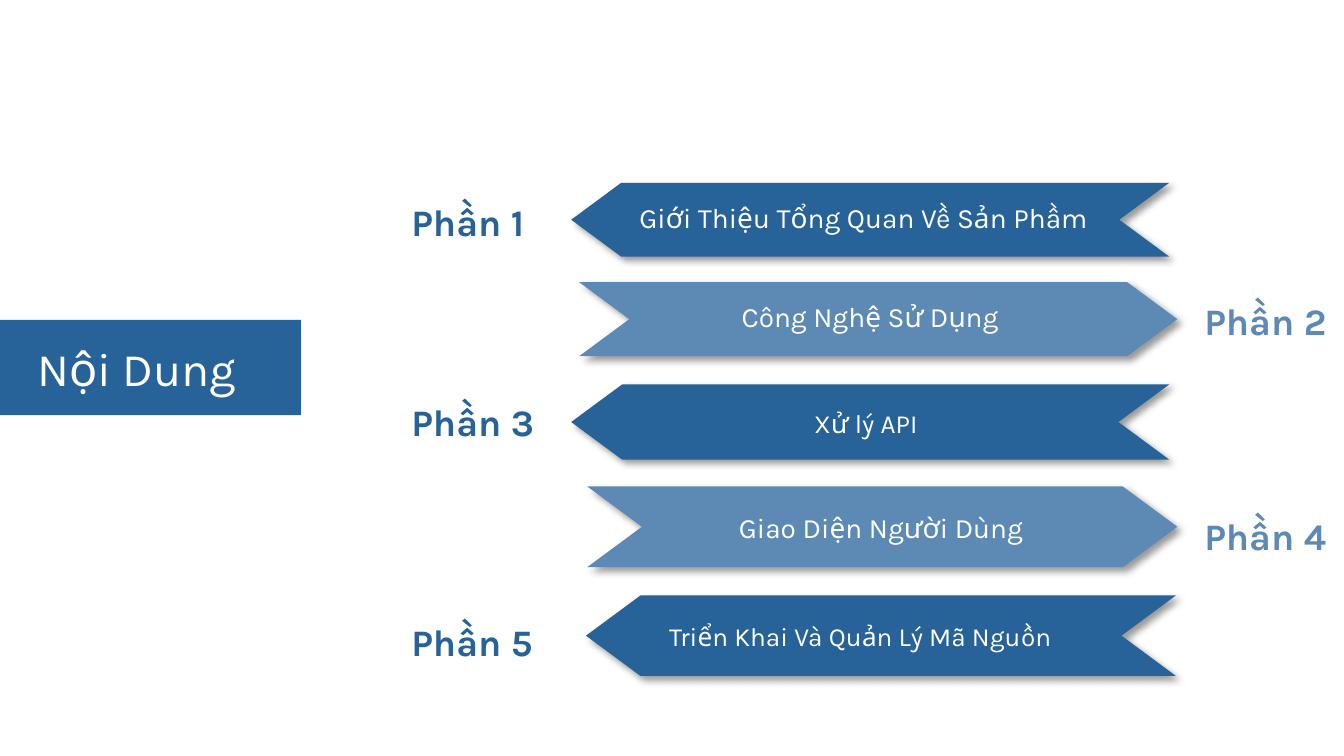
from dataclasses import dataclass

from lxml import etree
from pptx import Presentation, util as u
from pptx.dml import color
from pptx.enum import shapes, text
from pptx.oxml import ns

COLORS = {"dark": "276298", "light": "5D89B5", "white": "FFFFFF", "shadow": "000000"}
FONT = "Karla"
SLIDE_WIDTH = 10
SLIDE_HEIGHT = SLIDE_WIDTH * 9 / 16
LABEL_LEFT, LABEL_RIGHT = 2.99, 8.89
LABEL_WIDTH, LABEL_HEIGHT = 0.82, 0.31


@dataclass
class Box:
    left: float
    top: float
    width: float
    height: float

    def lengths(self):
        return [u.Inches(n) for n in (self.left, self.top, self.width, self.height)]


@dataclass
class Section:
    topic: str
    size: int
    arrow: Box
    caption: Box
    label_top: float


SECTIONS = [
    Section("Giới Thiệu Tổng Quan Về Sản Phầm", 15,
            Box(4.25, 1.36, 4.45, 0.55), Box(4.66, 1.44, 2.6, 0.51), 1.44),
    Section("Công Nghệ Sử Dụng", 15,
            Box(4.31, 2.1, 4.45, 0.55), Box(5.42, 2.18, 1.86, 0.38), 2.18),
    Section("Xử lý API", 14,
            Box(4.25, 2.86, 4.45, 0.56), Box(5.96, 2.98, 1.71, 0.61), 2.93),
    Section("Giao Diện Người Dùng", 15,
            Box(4.37, 3.62, 4.39, 0.6), Box(5.4, 3.75, 2.39, 0.38), 3.78),
    Section("Triển Khai Và Quản Lý Mã Nguồn", 14,
            Box(4.36, 4.43, 4.39, 0.6), Box(4.88, 4.57, 1.69, 0.32), 4.57),
]


def rgb(name: str) -> color.RGBColor:
    return color.RGBColor.from_string(COLORS[name])


def write(shape, words: str, *, size: int, fill: str = "white", bold: bool = False,
          wrap: bool = False, inset: tuple = (0.1, 0.05)) -> None:
    frame = shape.text_frame
    frame.auto_size = text.MSO_AUTO_SIZE.NONE
    frame.word_wrap = wrap
    frame.vertical_anchor = text.MSO_ANCHOR.TOP
    frame.margin_left = frame.margin_right = u.Inches(inset[0])
    frame.margin_top = frame.margin_bottom = u.Inches(inset[1])
    para = frame.paragraphs[0]
    para.alignment = text.PP_ALIGN.LEFT
    span = para.add_run()
    span.text = words
    span.font.name = FONT
    span.font.size = u.Pt(size)
    span.font.bold = bold
    span.font.color.rgb = rgb(fill)


def add_filled(parent, kind, box: Box, fill: str):
    shape = parent.add_shape(kind, *box.lengths())
    shape.fill.solid()
    shape.fill.fore_color.rgb = rgb(fill)
    shape.line.fill.background()
    shape.shadow.inherit = False
    return shape


def add_shadow(shape) -> None:
    effects = shape.element.spPr.find(ns.qn("a:effectLst"))
    shadow = etree.SubElement(
        effects, ns.qn("a:outerShdw"), blurRad=str(u.Pt(4)), dist=str(u.Pt(3)),
        dir=str(45 * 60000), algn="tl", rotWithShape="0")
    tint = etree.SubElement(shadow, ns.qn("a:srgbClr"), val=COLORS["shadow"])
    etree.SubElement(tint, ns.qn("a:alpha"), val="40000")


def add_section(page, number: int, section: Section) -> None:
    points_left = number % 2 == 1
    fill = "dark" if points_left else "light"
    group = page.shapes.add_group_shape()
    arrow = add_filled(group.shapes, shapes.MSO_SHAPE.CHEVRON, section.arrow, fill)
    arrow.adjustments[0] = 0.677
    arrow.rotation = 180 if points_left else 0
    add_shadow(arrow)
    caption = group.shapes.add_textbox(*section.caption.lengths())
    write(caption, section.topic, size=section.size)

    left = LABEL_LEFT if points_left else LABEL_RIGHT
    place = Box(left, section.label_top, LABEL_WIDTH, LABEL_HEIGHT)
    label = page.shapes.add_textbox(*place.lengths())
    write(label, f"Phần {number}", size=20, fill=fill, bold=True, inset=(0.07, 0.04))


def add_title(page) -> None:
    add_filled(page.shapes, shapes.MSO_SHAPE.RECTANGLE, Box(0, 2.38, 2.24, 0.71), "dark")
    title = page.shapes.title
    title.left, title.top, title.width, title.height = Box(0.18, 2.48, 1.89, 0.37).lengths()
    write(title, "Nội Dung", size=25, wrap=True)
    page.shapes.element.append(title.element)


def main() -> None:
    deck = Presentation()
    deck.slide_width, deck.slide_height = u.Inches(SLIDE_WIDTH), u.Inches(SLIDE_HEIGHT)
    page = deck.slides.add_slide(deck.slide_layouts.get_by_name("Title Only"))
    add_title(page)
    for number, section in enumerate(SECTIONS, start=1):
        add_section(page, number, section)
    deck.save("out.pptx")


if __name__ == "__main__":
    main()
